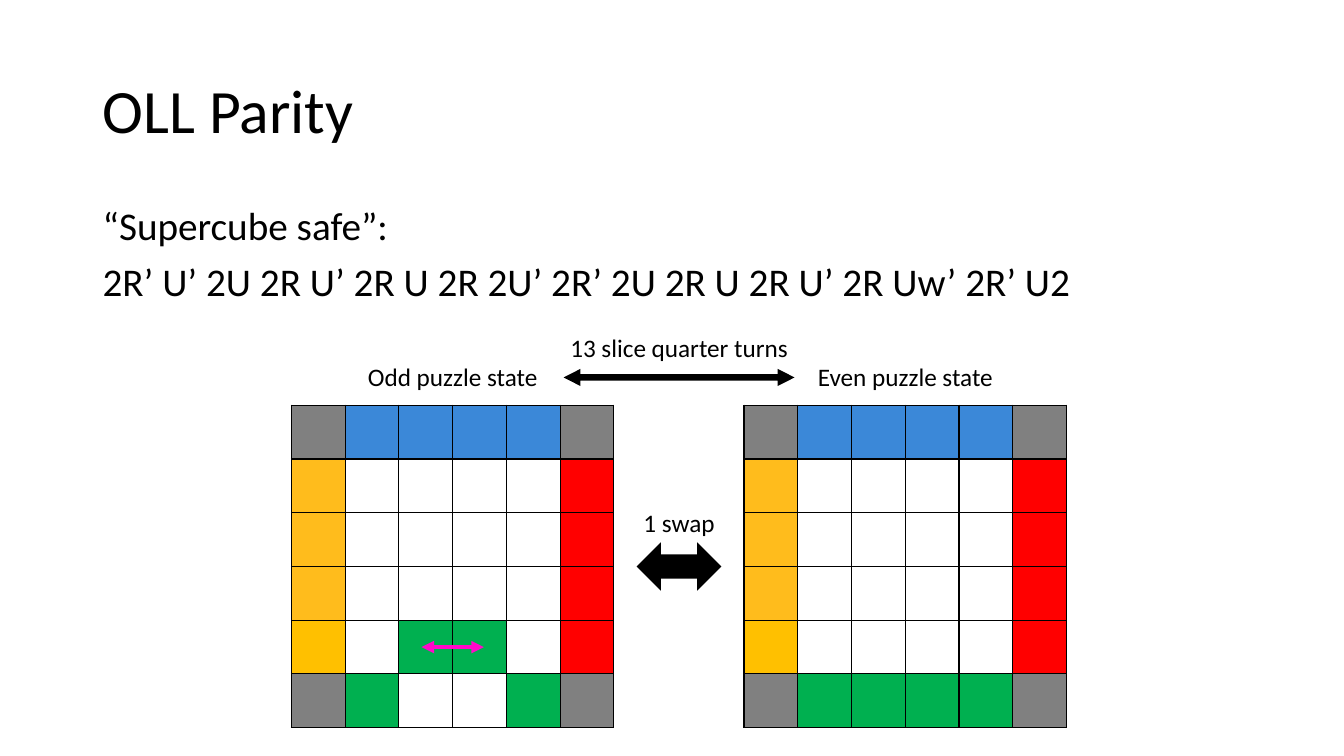
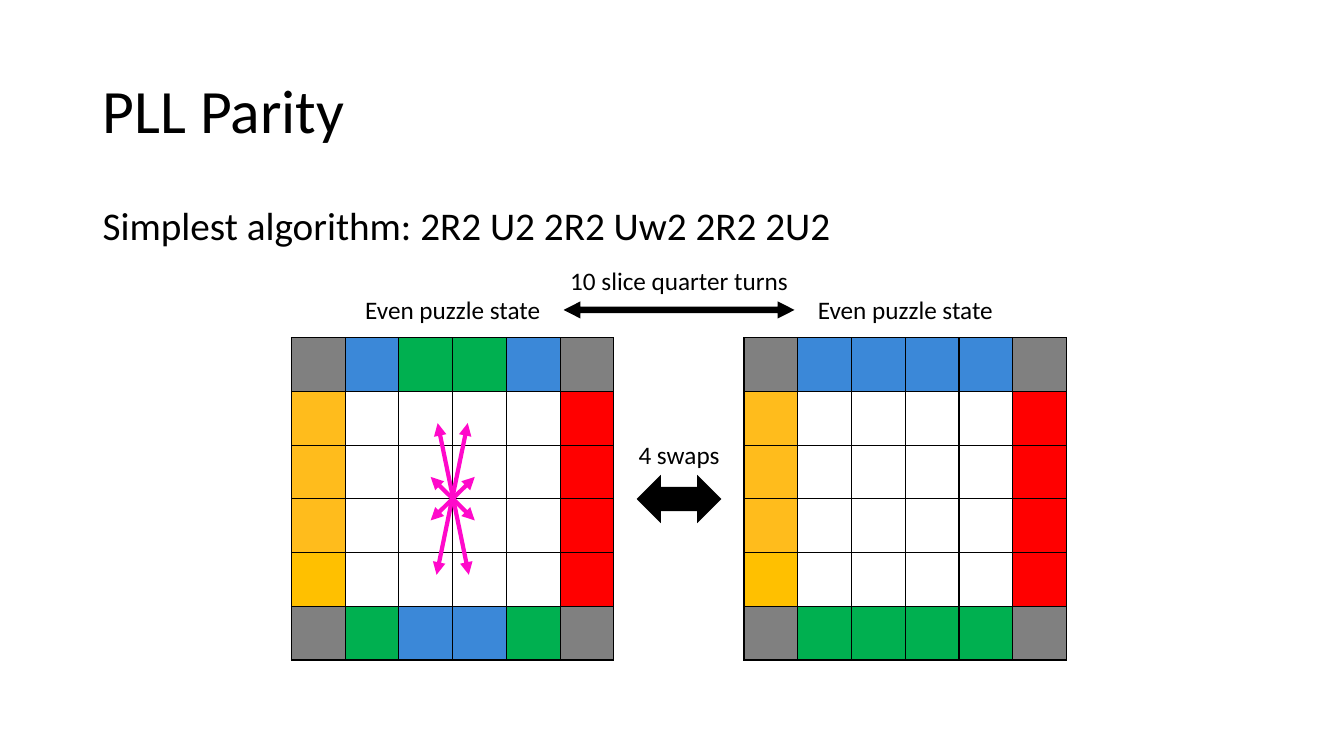
from dataclasses import dataclass

from lxml.etree import SubElement
from pptx import Presentation
from pptx.dml.color import RGBColor
from pptx.enum.shapes import MSO_CONNECTOR as Link, MSO_SHAPE as Form
from pptx.enum.text import MSO_ANCHOR as Anchor, MSO_AUTO_SIZE as Auto, PP_ALIGN as Align
from pptx.oxml import parse_xml
from pptx.oxml.ns import nsdecls, qn
from pptx.slide import Slide
from pptx.util import Inches, Pt

# Shared look
FONT = "Calibri"
BLACK, PINK = "000000", "FF09CA"
FILLS = {
    "X": "808080", "B": "3B88D8", "G": "00B050", "W": "FFFFFF",
    "O": "FFBC1C", "A": "FFC000", "R": "FF0000",
}

# Shared measures, in inches
LEFT, WIDTH = 0.92, 11.5
COUNT, SIDE = 6, 3.2
CELL = SIDE / COUNT
GRIDS = (2.89, 7.38)
MID = (GRIDS[0] + GRIDS[1] + SIDE) / 2
LABEL = 0.4

# Cube faces, one letter a cell
SIDES = ("OWWWWR",) * 3
SOLVED = ("XBBBBX", *SIDES, "AWWWWR", "XGGGGX")


@dataclass(frozen=True)
class Label:
    text: str
    width: float


@dataclass(frozen=True)
class Swap:
    """Arrow ends, in columns and rows of the grid."""
    x1: float
    y1: float
    x2: float
    y2: float


@dataclass(frozen=True)
class Page:
    title: str
    body: tuple[str, ...]
    top: float
    face: tuple[str, ...]
    state: Label
    turns: Label
    count: Label
    swaps: tuple[Swap, ...]


EVEN = Label("Even puzzle state", 2.07)

PAGES = (
    Page(
        "OLL Parity",
        ("“Supercube safe”:",
         "2R’ U’ 2U 2R U’ 2R U 2R 2U’ 2R’ 2U 2R U 2R U’ 2R Uw’ 2R’ U2"),
        4.02,
        ("XBBBBX", *SIDES, "AWGGWR", "XGWWGX"),
        Label("Odd puzzle state", 1.92),
        Label("13 slice quarter turns", 2.49),
        Label("1 swap", 1.04),
        (Swap(3.58, 4.5, 2.42, 4.5),),
    ),
    Page(
        "PLL Parity",
        ("Simplest algorithm: 2R2 U2 2R2 Uw2 2R2 2U2",),
        3.35,
        ("XBGGBX", *SIDES, "AWWWWR", "XGBBGX"),
        EVEN,
        Label("10 slice quarter turns", 2.45),
        Label("4 swaps", 1.04),
        (Swap(3.41, 3.4, 2.59, 2.59), Swap(3.41, 2.59, 2.59, 3.4),
         Swap(3.3, 4.41, 2.72, 1.59), Swap(2.7, 4.41, 3.28, 1.59)),
    ),
)


def paint(code: str) -> RGBColor:
    return RGBColor.from_string(code)


def write(slide: Slide, lines: tuple[str, ...], x: float, y: float, w: float,
          h: float, size: int):
    """Add a text box with one paragraph per line."""
    frame = slide.shapes.add_textbox(Inches(x), Inches(y), Inches(w), Inches(h)).text_frame
    frame.word_wrap = True
    frame.text = "\n".join(lines)
    for para in frame.paragraphs:
        para.font.name = FONT
        para.font.size = Pt(size)
        para.font.color.rgb = paint(BLACK)
    return frame


def add_head(slide: Slide, page: Page) -> None:
    title = write(slide, (page.title,), LEFT, 0.4, WIDTH, 1.45, 44)
    title.vertical_anchor = Anchor.MIDDLE
    body = write(slide, page.body, LEFT, 2, WIDTH, 4.76, 28)
    for para in title.paragraphs + body.paragraphs:
        para.line_spacing = 0.9
    for para in body.paragraphs:
        para.space_before = Pt(10)


def add_label(slide: Slide, label: Label, center: float, y: float) -> None:
    frame = write(slide, (label.text,), center - label.width / 2, y,
                  label.width, LABEL, 18)
    frame.auto_size = Auto.SHAPE_TO_FIT_TEXT
    frame.paragraphs[0].alignment = Align.CENTER


def add_grid(slide: Slide, face: tuple[str, ...], x: float, y: float) -> None:
    table = slide.shapes.add_table(COUNT, COUNT, Inches(x), Inches(y),
                                   Inches(SIDE), Inches(SIDE)).table
    table.first_row = table.horz_banding = False
    for line in (*table.columns, ):
        line.width = Inches(CELL)
    for line in table.rows:
        line.height = Inches(CELL)
    for row, codes in enumerate(face):
        for col, code in enumerate(codes):
            cell = table.cell(row, col)
            cell.fill.solid()
            cell.fill.fore_color.rgb = paint(FILLS[code])
            props = cell._tc.get_or_add_tcPr()
            for spot, edge in enumerate("LRTB"):
                props.insert(spot, parse_xml(
                    f'<a:ln{edge} {nsdecls("a")} w="{Pt(1)}"><a:solidFill>'
                    f'<a:srgbClr val="{BLACK}"/></a:solidFill></a:ln{edge}>'))


def add_arrow(slide: Slide, y: float, w: float, h: float,
              shape: tuple[float, ...] = ()) -> None:
    """Add a block arrow centred between the grids."""
    arrow = slide.shapes.add_shape(Form.LEFT_RIGHT_ARROW, Inches(MID - w / 2),
                                   Inches(y), Inches(w), Inches(h))
    arrow.shadow.inherit = False
    arrow.fill.solid()
    arrow.fill.fore_color.rgb = paint(BLACK)
    arrow.line.fill.background()
    for spot, value in enumerate(shape):
        arrow.adjustments[spot] = value


def add_swap(slide: Slide, swap: Swap, top: float) -> None:
    ends = (GRIDS[0] + swap.x1 * CELL, top + swap.y1 * CELL,
            GRIDS[0] + swap.x2 * CELL, top + swap.y2 * CELL)
    link = slide.shapes.add_connector(Link.STRAIGHT, *map(Inches, ends))
    link.line.color.rgb = paint(PINK)
    link.line.width = Pt(3)
    props = link.element.spPr
    for end in ("a:headEnd", "a:tailEnd"):
        SubElement(props.find(qn("a:ln")), qn(end), type="triangle")
    SubElement(props, qn("a:effectLst"))


def add_page(slide: Slide, page: Page) -> None:
    top = page.top
    add_head(slide, page)
    # Grids and their states
    for x, face, state in zip(GRIDS, (page.face, SOLVED), (page.state, EVEN)):
        add_grid(slide, face, x, top)
        add_label(slide, state, x + SIDE / 2, top - 0.48)
    # Turns above, swaps between
    add_label(slide, page.turns, MID, top - 0.77)
    add_arrow(slide, top - 0.36, 2.29, 0.17, (0.38, 0.98))
    add_label(slide, page.count, MID, top + 0.96)
    add_arrow(slide, top + 1.36, 0.84, 0.48)
    for swap in page.swaps:
        add_swap(slide, swap, top)


def main() -> None:
    deck = Presentation()
    deck.slide_width, deck.slide_height = Inches(13.33), Inches(7.5)
    blank = deck.slide_layouts[6]
    for page in PAGES:
        add_page(deck.slides.add_slide(blank), page)
    deck.save("out.pptx")


if __name__ == "__main__":
    main()
